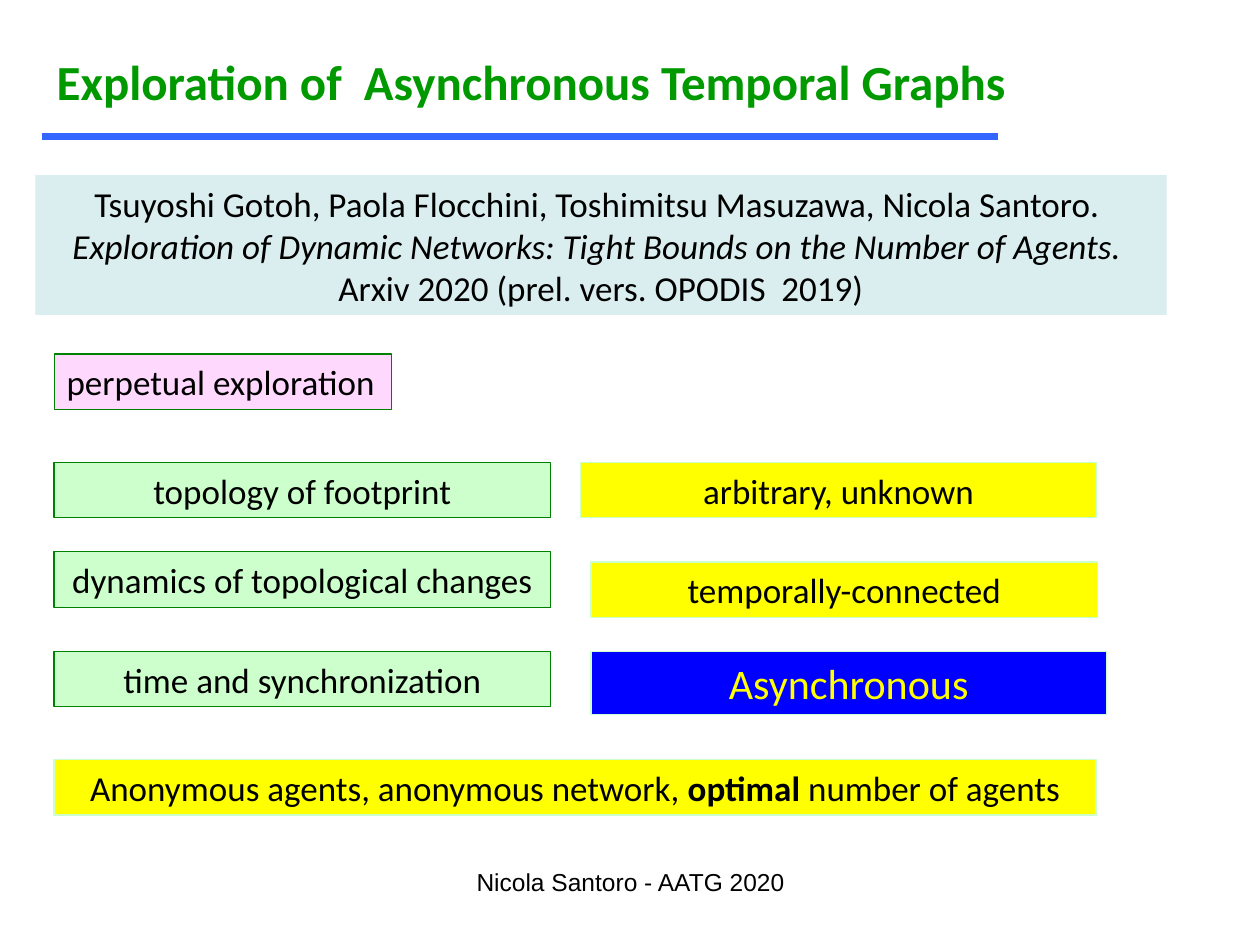
from lxml import etree
from pptx import Presentation
from pptx.dml.color import RGBColor
from pptx.enum import shapes, text
from pptx.oxml.ns import qn
from pptx.util import Inches, Pt

BLACK = RGBColor(0x00, 0x00, 0x00)
TITLE_GREEN = RGBColor(0x00, 0x99, 0x00)
RULE_BLUE = RGBColor(0x33, 0x66, 0xFF)
PALE_TEAL = RGBColor(0xDA, 0xED, 0xEF)
PINK = RGBColor(0xFF, 0xD8, 0xFE)
PALE_GREEN = RGBColor(0xCC, 0xFF, 0xCC)
DARK_GREEN = RGBColor(0x00, 0x80, 0x00)
YELLOW = RGBColor(0xFF, 0xFF, 0x00)
BLUE = RGBColor(0x00, 0x00, 0xFF)

LEFT, CENTER = text.PP_ALIGN.LEFT, text.PP_ALIGN.CENTER
TOP, MIDDLE = text.MSO_ANCHOR.TOP, text.MSO_ANCHOR.MIDDLE
MARGIN = 0.43
ROW_HEIGHT = 0.44
ASPECT_WIDTH = 3.94


def place(shape, left, top, width, height):
    bounds = {"left": left, "top": top, "width": width, "height": height}
    for name, value in bounds.items():
        setattr(shape, name, Inches(value))


def write(shape, lines, size=20, color=BLACK, font="Calibri", align=CENTER, anchor=MIDDLE):
    """Fill a shape with lines, each a list of (wording, font format) spans."""
    frame = shape.text_frame
    settings = {"word_wrap": True, "auto_size": text.MSO_AUTO_SIZE.NONE,
                "vertical_anchor": anchor}
    for name, value in settings.items():
        setattr(frame, name, value)
    for index, spans in enumerate(lines):
        para = frame.add_paragraph() if index else frame.paragraphs[0]
        para.alignment = align
        for wording, extra in spans:
            span = para.add_run()
            span.text = wording
            span.font.color.rgb = color
            look = {"name": font, "size": Pt(size), "bold": False, "italic": False, **extra}
            for name, value in look.items():
                setattr(span.font, name, value)


def add_title(page, wording):
    title = page.shapes.title
    place(title, 0.35, 0.36, 8.19, 0.57)
    write(title, [[(wording, {"bold": True})]], size=28, color=TITLE_GREEN, align=LEFT)


def add_rule(page, left, right, top):
    rule = page.shapes.add_connector(
        shapes.MSO_CONNECTOR.STRAIGHT,
        Inches(left), Inches(top), Inches(right), Inches(top))
    rule.line.color.rgb = RULE_BLUE
    rule.line.width = Pt(4)
    etree.SubElement(rule._element.spPr, qn("a:effectLst"))


def add_panel(page, bounds, lines, fill, border=None, **style):
    panel = page.shapes.add_shape(shapes.MSO_SHAPE.RECTANGLE, *map(Inches, bounds))
    panel.shadow.inherit = False
    panel.fill.solid()
    panel.fill.fore_color.rgb = fill
    if border is None:
        panel.line.fill.background()
    else:
        panel.line.color.rgb = border
        panel.line.width = Pt(0.75)
    write(panel, lines, **style)


def add_footer(page, wording):
    footer = page.shapes.add_textbox(*map(Inches, (3.42, 6.83, 3.17, 0.5)))
    write(footer, [[(wording, {})]], size=14, font="Arial", anchor=TOP)


def main():
    deck = Presentation()
    deck.slide_width, deck.slide_height = Inches(10), Inches(7.5)
    page = deck.slides.add_slide(deck.slide_layouts.get_by_name("Title Only"))

    add_title(page, "Exploration of  Asynchronous Temporal Graphs")
    add_rule(page, 0.33, 7.92, 1.08)
    add_panel(page, (0.28, 1.39, 8.98, 1.11), [
        [("Tsuyoshi Gotoh, Paola Flocchini, Toshimitsu Masuzawa, Nicola Santoro. ", {})],
        [("Exploration of Dynamic Networks: Tight Bounds on the Number of Agents. ",
          {"italic": True})],
        [("Arxiv 2020 (prel. vers. OPODIS  2019)", {})],
    ], PALE_TEAL)
    add_panel(page, (MARGIN, 2.81, 2.68, ROW_HEIGHT),
              [[("perpetual exploration", {})]], PINK, DARK_GREEN, align=LEFT)

    aspects = [(3.67, "topology of footprint"),
               (4.38, "dynamics of topological changes"),
               (5.17, "time and synchronization")]
    for top, wording in aspects:
        add_panel(page, (MARGIN, top, ASPECT_WIDTH, ROW_HEIGHT),
                  [[(wording, {})]], PALE_GREEN, DARK_GREEN)

    assumptions = [((4.61, 3.67, 4.09, ROW_HEIGHT), "arbitrary, unknown", YELLOW, {}),
                   ((4.69, 4.46, 4.02, ROW_HEIGHT), "temporally-connected", YELLOW, {}),
                   ((4.69, 5.17, 4.09, 0.5), "Asynchronous", BLUE,
                    {"size": 24, "color": YELLOW})]
    for bounds, wording, fill, style in assumptions:
        add_panel(page, bounds, [[(wording, {})]], fill, PALE_GREEN, **style)

    add_panel(page, (MARGIN, 6.03, 8.27, ROW_HEIGHT), [[
        ("Anonymous agents, anonymous network, ", {}),
        ("optimal", {"bold": True}),
        (" number of agents", {}),
    ]], YELLOW, PALE_GREEN)
    add_footer(page, "Nicola Santoro - AATG 2020")
    deck.save("out.pptx")


if __name__ == "__main__":
    main()
